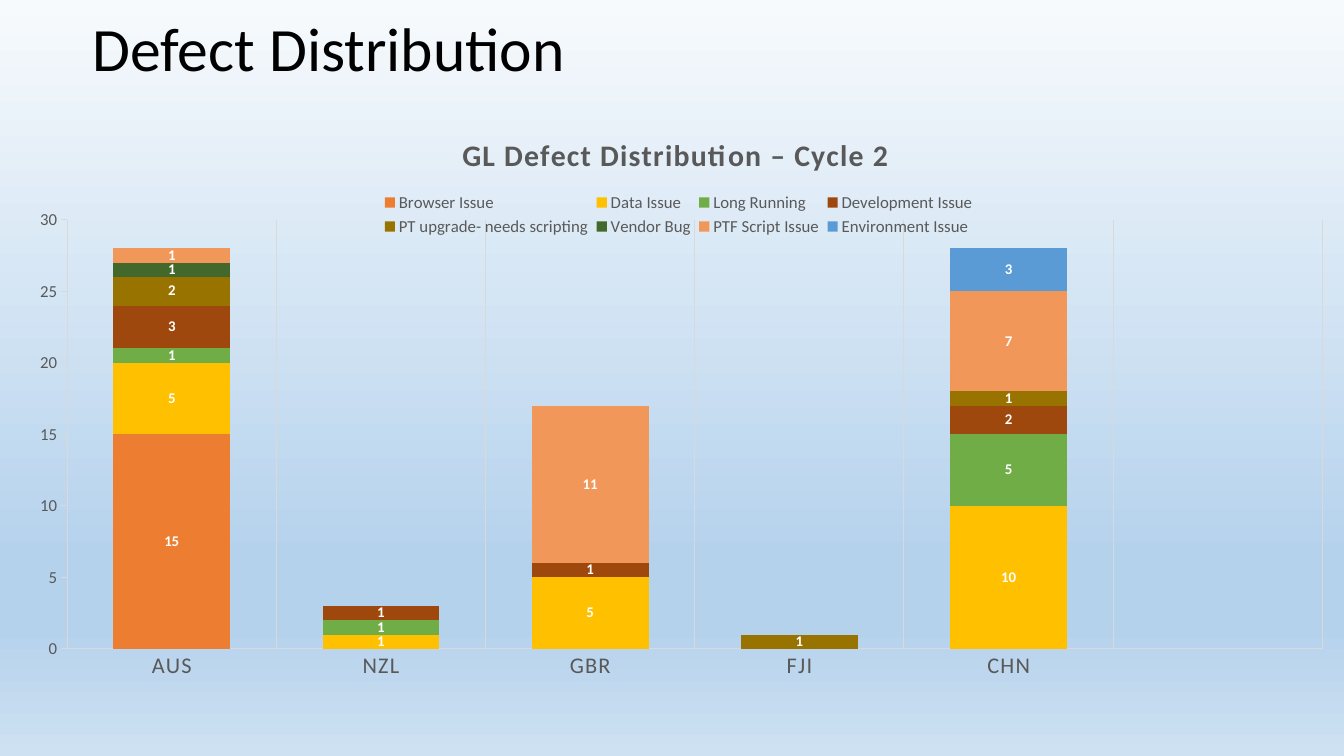
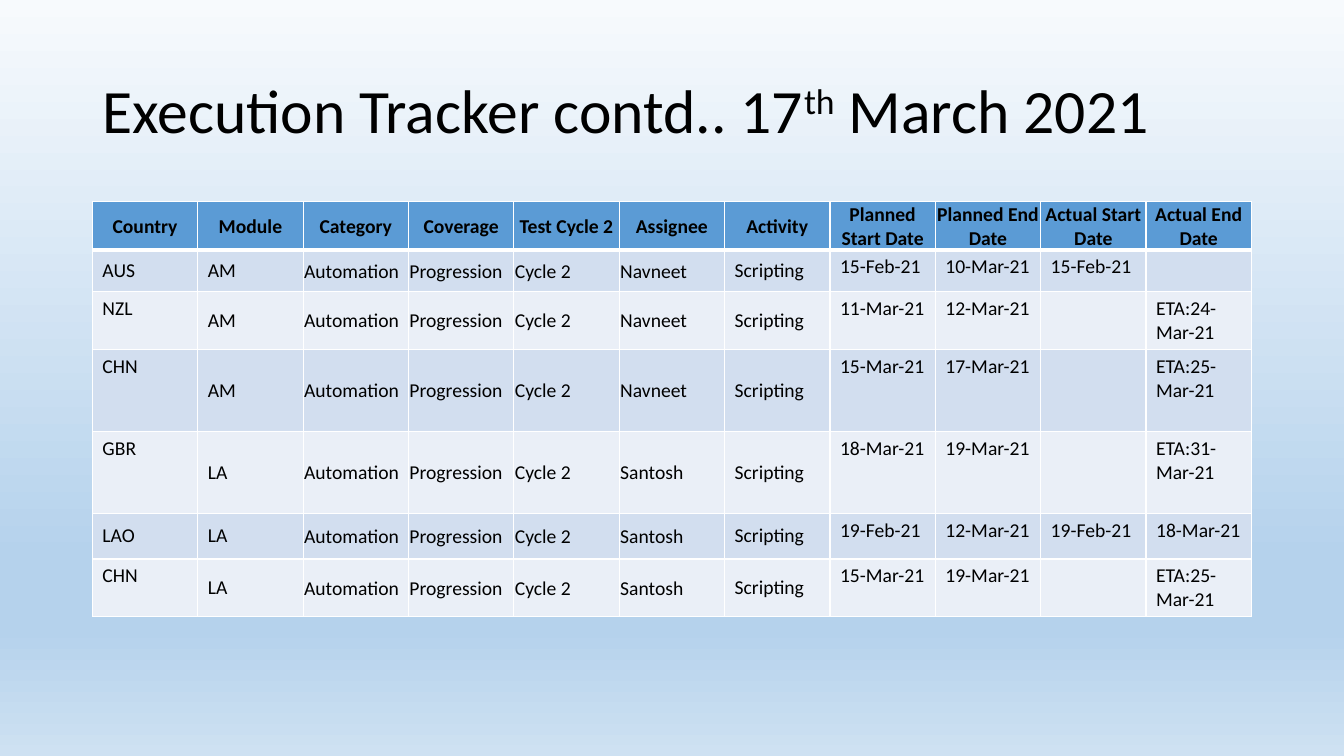
from lxml import etree
from pptx import Presentation
from pptx.chart.data import CategoryChartData
from pptx.dml.color import RGBColor
from pptx.enum.chart import XL_CHART_TYPE, XL_LABEL_POSITION, XL_LEGEND_POSITION, XL_TICK_MARK
from pptx.enum.text import MSO_ANCHOR, MSO_AUTO_SIZE, PP_ALIGN
from pptx.oxml.ns import qn
from pptx.util import Pt

STACKED = XL_CHART_TYPE.COLUMN_STACKED
CENTER_LABEL = XL_LABEL_POSITION.CENTER
LEGEND_TOP = XL_LEGEND_POSITION.TOP
TICK_NONE, TICK_OUT = XL_TICK_MARK.NONE, XL_TICK_MARK.OUTSIDE
TOP, MIDDLE = MSO_ANCHOR.TOP, MSO_ANCHOR.MIDDLE
NO_FIT = MSO_AUTO_SIZE.NONE
LEFT, CENTER = PP_ALIGN.LEFT, PP_ALIGN.CENTER

FONT = "Calibri"
COLORS = {
    "text": "000000", "muted": "595959", "line": "D9D9D9", "white": "FFFFFF",
    "header": "5B9BD5", "band dark": "D2DEEF", "band light": "EAEFF7",
}
BACKGROUND = [(0, "F7FAFD"), (74, "B5D2EC"), (83, "B5D2EC"), (100, "CEE1F2")]


def style(font, size, color="text", bold=False, spacing=0):
    font.name = FONT
    font.size = Pt(size)
    font.bold = bold
    font.color.rgb = RGBColor.from_string(COLORS[color])
    if spacing:
        font._element.set("spc", str(spacing))


def write(para, text, baseline=0, align=LEFT, **look):
    para.alignment = align
    span = para.add_run()
    span.text = text
    style(span.font, **look)
    if baseline:
        span.font._element.set("baseline", str(baseline * 1000))


deck = Presentation()
deck.slide_width, deck.slide_height = Pt(960), Pt(540)

master = deck.slide_master
master_fill = master.background.fill
master_fill.gradient()
master_fill.gradient_angle = 270
stops = master.element.find(".//" + qn("p:bg")).find(".//" + qn("a:gsLst"))
for stop in list(stops):
    stops.remove(stop)
for position, color in BACKGROUND:
    stop = etree.SubElement(stops, qn("a:gs"), pos=str(position * 1000))
    etree.SubElement(stop, qn("a:srgbClr"), val=color)

TITLES = [
    ((59, 0, 828, 74), [("Defect Distribution", 0)]),
    ((66, 28.8, 828, 104.4),
     [("Execution Tracker contd.. 17", 0), ("th", 30), (" March 2021", 0)]),
]
pages = []
for bounds, parts in TITLES:
    page = deck.slides.add_slide(deck.slide_layouts[5])
    title = page.shapes.title
    title.left, title.top, title.width, title.height = map(Pt, bounds)
    frame = title.text_frame
    frame.auto_size = NO_FIT
    frame.vertical_anchor = MIDDLE
    para = frame.paragraphs[0]
    para.line_spacing = 0.9
    for text, baseline in parts:
        write(para, text, baseline=baseline, size=44)
    pages.append(page)
defect_page, tracker_page = pages

SERIES = [
    ("Browser Issue", "ED7D31", (15, None, None, None, None, None)),
    ("Data Issue", "FFC000", (5, 1, 5, None, 10, None)),
    ("Long Running", "70AD47", (1, 1, None, None, 5, None)),
    ("Development Issue", "9E480E", (3, 1, 1, None, 2, None)),
    ("PT upgrade- needs scripting", "997300", (2, None, None, 1, 1, None)),
    ("Vendor Bug", "43682B", (1, None, None, None, None, None)),
    ("PTF Script Issue", "F1975A", (1, None, 11, None, 7, None)),
    ("Environment Issue", "5B9BD5", (None, None, None, None, 3, None)),
]
data = CategoryChartData()
data.categories = ["AUS", "NZL", "GBR", "FJI", "CHN", ""]
for name, color, values in SERIES:
    data.add_series(name, values)
chart = defect_page.shapes.add_chart(STACKED, Pt(0), Pt(74), Pt(960), Pt(466), data).chart
style(chart.font, 10)

chart.has_title = True
write(chart.chart_title.text_frame.paragraphs[0], "GL Defect Distribution – Cycle 2",
      align=CENTER, size=21.3, color="muted", bold=True, spacing=100)
chart.has_legend = True
chart.legend.position = LEGEND_TOP
chart.legend.include_in_layout = False
style(chart.legend.font, 12, "muted")

plot = chart.plots[0]
plot.gap_width = 79
plot.overlap = 100
plot.vary_by_categories = False
for series, (name, color, values) in zip(plot.series, SERIES):
    series.format.fill.solid()
    series.format.fill.fore_color.rgb = RGBColor.from_string(color)
    labels = series.data_labels
    labels.show_value = True
    labels.position = CENTER_LABEL
    style(labels.font, 10.6, "white", bold=True)

category_axis, value_axis = chart.category_axis, chart.value_axis
style(category_axis.tick_labels.font, 16, "muted", spacing=100)
style(value_axis.tick_labels.font, 12, "muted")
category_axis.has_major_gridlines = True
value_axis.has_major_gridlines = False
category_axis.major_tick_mark = TICK_NONE
value_axis.major_tick_mark = TICK_OUT
value_axis.minimum_scale, value_axis.maximum_scale, value_axis.major_unit = 0, 30, 5
for line in (category_axis.format.line, value_axis.format.line,
             category_axis.major_gridlines.format.line):
    line.color.rgb = RGBColor.from_string(COLORS["line"])
    line.width = Pt(0.75)

PLACES = [
    ("c:title", 1, {"x": 0.34, "y": 0.04}),
    ("c:legend", 1, {"x": 0.28, "y": 0.13, "w": 0.45, "h": 0.08}),
    ("c:plotArea", 0, {"x": 0.05, "y": 0.178, "w": 0.934, "h": 0.658}),
]
for tag, index, measures in PLACES:
    part = chart._chartSpace.chart.find(qn(tag))
    for layout in part.findall(qn("c:layout")):
        part.remove(layout)
    layout = etree.Element(qn("c:layout"))
    part.insert(index, layout)
    manual = etree.SubElement(layout, qn("c:manualLayout"))
    if tag == "c:plotArea":
        etree.SubElement(manual, qn("c:layoutTarget"), val="inner")
    for mode in ("xMode", "yMode"):
        etree.SubElement(manual, qn("c:" + mode), val="edge")
    for name, value in measures.items():
        etree.SubElement(manual, qn("c:" + name), val=str(value))

HEADINGS = ["Country", "Module", "Category", "Coverage", "Test Cycle 2", "Assignee", "Activity",
            "Planned Start Date", "Planned End Date", "Actual Start Date", "Actual End Date"]
TRACKED = [
    ("AUS", "AM", "Navneet", "15-Feb-21", "10-Mar-21", "15-Feb-21", ""),
    ("NZL", "AM", "Navneet", "11-Mar-21", "12-Mar-21", "", "ETA:24-Mar-21"),
    ("CHN", "AM", "Navneet", "15-Mar-21", "17-Mar-21", "", "ETA:25-Mar-21"),
    ("GBR", "LA", "Santosh", "18-Mar-21", "19-Mar-21", "", "ETA:31-Mar-21"),
    ("LAO", "LA", "Santosh", "19-Feb-21", "12-Mar-21", "19-Feb-21", "18-Mar-21"),
    ("CHN", "LA", "Santosh", "15-Mar-21", "19-Mar-21", "", "ETA:25-Mar-21"),
]
ROW_HEIGHTS = [33.6, 29.5, 41.4, 58.6, 58.6, 32.4, 41.4]
rows = [HEADINGS]
for country, module, assignee, *dates in TRACKED:
    rows.append([country, module, "Automation", "Progression", "Cycle 2",
                 assignee, "Scripting", *dates])

table = tracker_page.shapes.add_table(
    len(rows), len(HEADINGS), Pt(66), Pt(144), Pt(828), Pt(sum(ROW_HEIGHTS))).table
table.first_row = False
table.horz_banding = False
for column in table.columns:
    column.width = Pt(828 / len(HEADINGS))
for row_index, texts in enumerate(rows):
    table.rows[row_index].height = Pt(ROW_HEIGHTS[row_index])
    heading = row_index == 0
    band = "header" if heading else "band dark" if row_index % 2 else "band light"
    for column_index, text in enumerate(texts):
        cell = table.cell(row_index, column_index)
        cell.fill.solid()
        cell.fill.fore_color.rgb = RGBColor.from_string(COLORS[band])
        centred = heading or 1 <= column_index <= 6 or text in ("AUS", "LAO")
        cell.vertical_anchor = MIDDLE if centred else TOP
        if heading or 2 <= column_index <= 5:
            cell.margin_left = cell.margin_right = cell.margin_top = Pt(0.7)
            cell.margin_bottom = Pt(0)
        if text:
            write(cell.text_frame.paragraphs[0], text, size=14, bold=heading,
                  align=CENTER if heading else LEFT)
        properties = cell._tc.get_or_add_tcPr()
        for order, side in enumerate("LRTB"):
            thick = (row_index, side) in ((0, "B"), (1, "T"))
            border = etree.Element(qn("a:ln" + side), w=str(Pt(3 if thick else 1)))
            fill = etree.SubElement(border, qn("a:solidFill"))
            etree.SubElement(fill, qn("a:srgbClr"), val=COLORS["white"])
            properties.insert(order, border)

deck.save("out.pptx")
